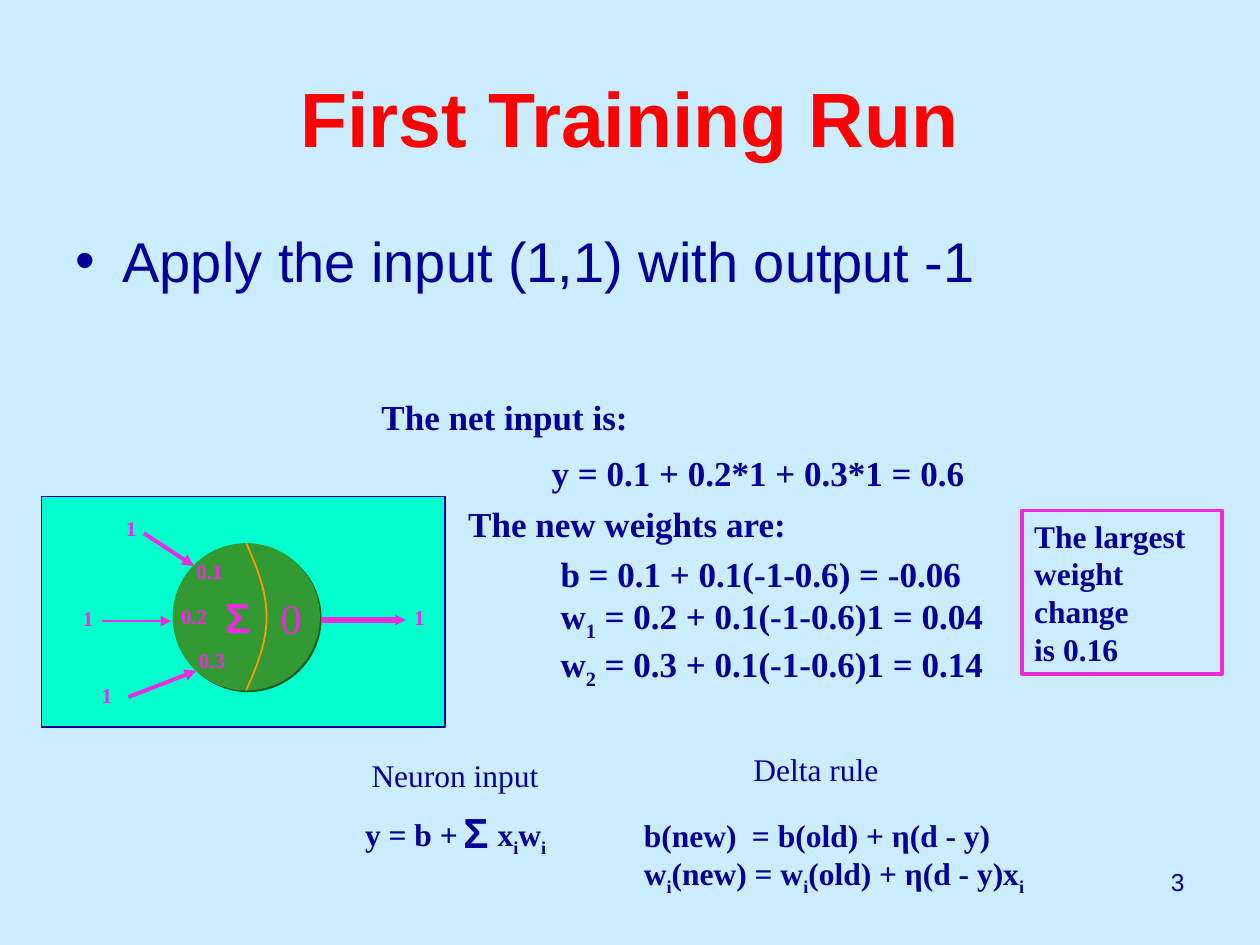
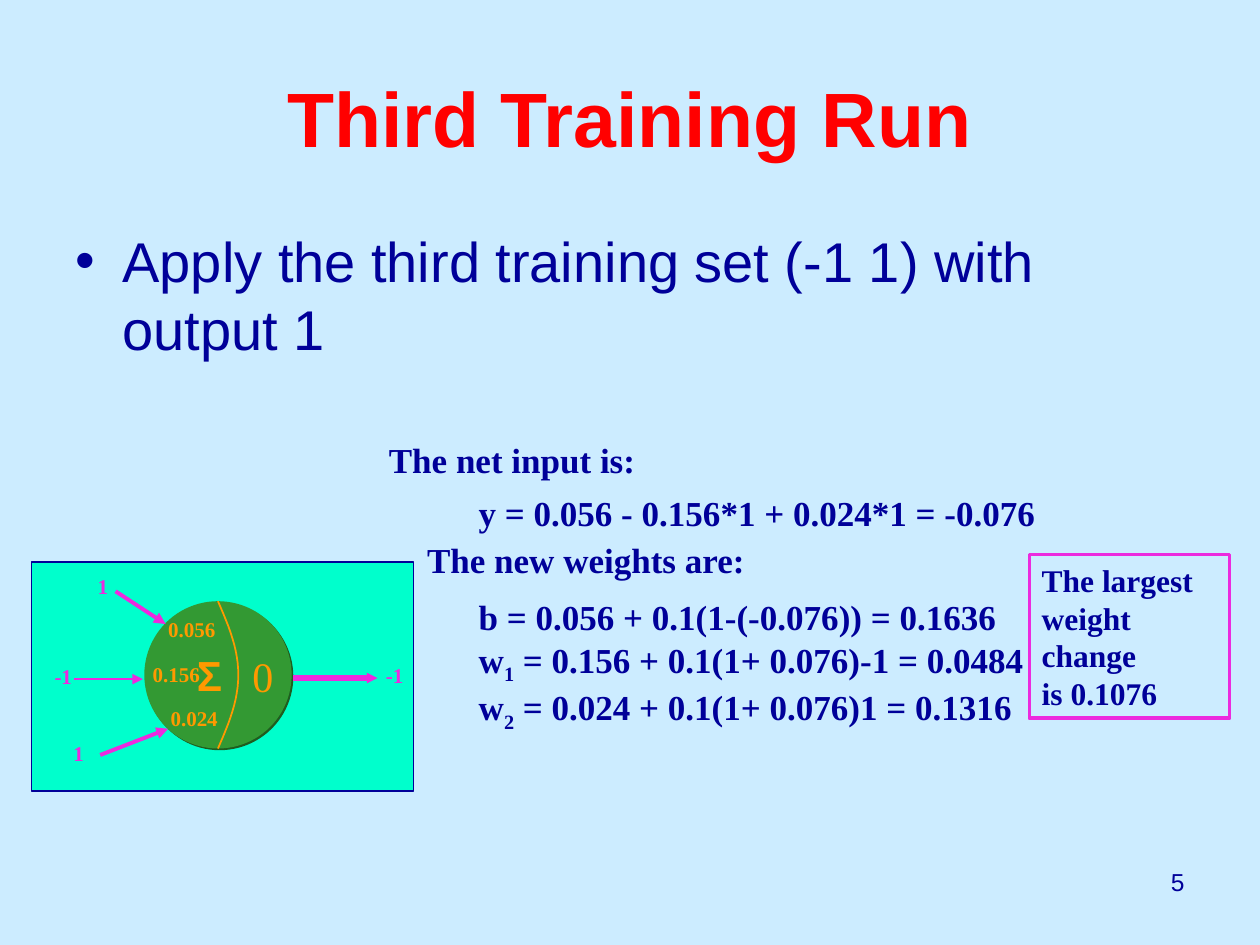
from math import pi, sin

from lxml import etree
from pptx import Presentation
from pptx.dml.color import RGBColor
from pptx.enum.shapes import MSO_CONNECTOR, MSO_SHAPE
from pptx.enum.text import MSO_ANCHOR, PP_ALIGN
from pptx.oxml.ns import qn
from pptx.util import Cm, Pt

RECT, OVAL, STRAIGHT = MSO_SHAPE.RECTANGLE, MSO_SHAPE.OVAL, MSO_CONNECTOR.STRAIGHT
LEFT, CENTER, RIGHT = PP_ALIGN.LEFT, PP_ALIGN.CENTER, PP_ALIGN.RIGHT
TOP, MIDDLE = MSO_ANCHOR.TOP, MSO_ANCHOR.MIDDLE

SKY, NAVY, RED, PINK = "CCECFF", "000099", "FF0000", "EC2ADE"
MINT, GREEN, DARK_GREEN, ORANGE = "00FFCC", "339933", "1F5C1F", "FF9900"
SANS, SERIF = "Arial", "Times New Roman"

SLACK = 0.25
CELL = 2.97
INPUT_SPOTS = [(-1.19, -0.69), (-2.06, 1.14), (-1.68, 2.69)]
WEIGHT_SPOTS = [(0.23, 0.18), (-0.08, 1.09), (0.28, 1.98)]
OUTPUT_SPOT = (4.62, 1.12)
ARROWS = [
    (3, 1.55, 4.7, 1.55, 3, "sm"),
    (-0.58, -0.2, 0.43, 0.46, 2.25, "med"),
    (-0.89, 3.1, 0.48, 2.57, 2.25, "med"),
    (-1.42, 1.57, -0.03, 1.57, 1.5, "med"),
]


def rgb(code):
    return RGBColor.from_string(code)


def add_xml(parent, tag, **attrs):
    return etree.SubElement(parent, qn(tag), attrs)


def write(tf, text, size, color=NAVY, bold=True, font=SERIF, align=LEFT):
    tf.text = text
    for p in tf.paragraphs:
        p.alignment = align
        pieces = p.text.split("_")
        p.text = pieces[0]
        for piece in pieces[1:]:
            p.add_run().text = piece
        for i, r in enumerate(p.runs):
            r.font.size, r.font.bold, r.font.name = Pt(size), bold, font
            r.font.color.rgb = rgb(color)
            if i % 2:
                r._r.get_or_add_rPr().set("baseline", "-25000")


def add_text(shapes, box, text, size, anchor=TOP, **style):
    tf = shapes.add_textbox(*map(Cm, box)).text_frame
    tf.word_wrap = True
    tf.vertical_anchor = anchor
    write(tf, text, size, **style)
    return tf


def add_label(shapes, left, top, width, height, text, size, **style):
    return add_text(shapes, (left, top, width + SLACK, height), text, size, **style)


def set_tab(p, position):
    tabs = add_xml(p._p.get_or_add_pPr(), "a:tabLst")
    add_xml(tabs, "a:tab", pos=str(Cm(position)), algn="l")


def add_box(shapes, kind, box, fill, line=None, width=0.75):
    sp = shapes.add_shape(kind, *map(Cm, box))
    sp.shadow.inherit = False
    sp.fill.solid()
    sp.fill.fore_color.rgb = rgb(fill)
    if line:
        sp.line.color.rgb = rgb(line)
        sp.line.width = Pt(width)
    else:
        sp.line.fill.background()
    return sp


def add_arrow(shapes, x1, y1, x2, y2, width, head):
    line = shapes.add_connector(STRAIGHT, Cm(x1), Cm(y1), Cm(x2), Cm(y2))
    line.line.color.rgb = rgb(PINK)
    line.line.width = Pt(width)
    add_xml(line.line._get_or_add_ln(), "a:tailEnd", type="triangle", w=head, len=head)
    add_xml(line._element.spPr, "a:effectLst")


def add_divider(shapes, x, y):
    steps = 24
    points = [
        (Cm(x + 0.41 * sin(pi * i / steps)), Cm(y + CELL * i / steps))
        for i in range(steps + 1)
    ]
    builder = shapes.build_freeform(*points[0])
    builder.add_line_segments(points[1:], close=False)
    sp = builder.convert_to_shape()
    sp.shadow.inherit = False
    sp.fill.background()
    sp.line.color.rgb = rgb(ORANGE)
    sp.line.width = Pt(1)


def add_cell(shapes, x, y):
    cell = add_box(shapes, OVAL, (x, y, CELL, CELL), GREEN)
    effects = cell._element.spPr.find(qn("a:effectLst"))
    shadow = add_xml(effects, "a:outerShdw", dist=str(Pt(1.4)), dir="2700000",
                     algn="ctr", rotWithShape="0")
    add_xml(shadow, "a:srgbClr", val=DARK_GREEN)


def add_neuron(s, panel, x, y, inputs, weights, output, color):
    shapes = s.shapes.add_group_shape().shapes
    add_box(shapes, RECT, panel, MINT, NAVY)
    add_cell(shapes, x, y)
    add_divider(shapes, x + CELL / 2, y)
    add_label(shapes, x + 1.93, y + 0.86, 0.91, 1.27, "0", 24, color=color, bold=False)
    add_label(shapes, x + 0.81, y + 0.84, 0.99, 1.27, "Σ", 24, color=color, font=SANS)
    for x1, y1, x2, y2, width, head in ARROWS:
        add_arrow(shapes, x + x1, y + y1, x + x2, y + y2, width, head)
    labels = [(spot, text, color) for spot, text in zip(WEIGHT_SPOTS, weights)]
    labels += [(spot, text, PINK) for spot, text in
               zip(INPUT_SPOTS + [OUTPUT_SPOT], inputs + [output])]
    for (dx, dy), text, label_color in labels:
        width = 0.5 + 0.19 * len(text)
        add_label(shapes, x + dx, y + dy, width, 0.76, text, 12, color=label_color)


def set_bullet(p):
    p.space_before = Pt(8)
    pPr = p._p.get_or_add_pPr()
    pPr.set("marL", str(Cm(0.95)))
    pPr.set("indent", str(Cm(-0.95)))
    add_xml(pPr, "a:buFont", typeface=SANS)
    add_xml(pPr, "a:buChar", char="•")


def add_run_slide(prs, title, task, task_height, number):
    s = prs.slides.add_slide(prs.slide_layouts[6])
    s.background.fill.solid()
    s.background.fill.fore_color.rgb = rgb(SKY)
    add_text(s.shapes, (1.27, 0.76, 22.86, 3.18), title, 44,
             anchor=MIDDLE, color=RED, font=SANS, align=CENTER)
    tf = add_text(s.shapes, (1.27, 4.45, 22.86, task_height), task, 32,
                  bold=False, font=SANS)
    set_bullet(tf.paragraphs[0])
    add_text(s.shapes, (18.21, 17.35, 5.92, 1.32), number, 14,
             bold=False, font=SANS, align=RIGHT)
    return s


def add_equations(s, rows):
    for row in rows:
        add_label(s.shapes, *row, 20)


def add_callout(s, left, top, change):
    sp = add_box(s.shapes, RECT, (left, top, 4.04, 3.3), SKY, PINK, 2)
    tf = sp.text_frame
    tf.word_wrap = True
    tf.vertical_anchor = TOP
    write(tf, f"The largest weight change\nis {change}", 18)


def add_rules(s):
    add_label(s.shapes, 7.24, 15.11, 3.86, 1.02, "Neuron input", 18, bold=False)
    tf = add_label(s.shapes, 7.11, 16.31, 4.14, 1.12, "y = b +\tx_i_w_i", 18)
    set_tab(tf.paragraphs[0], 2.67)
    add_label(s.shapes, 9.09, 16.13, 0.99, 1.27, "Σ", 24, font=SANS)
    shapes = s.shapes.add_group_shape().shapes
    add_label(shapes, 14.94, 14.99, 3.02, 1.02, "Delta rule", 18, bold=False)
    tf = add_label(shapes, 12.73, 16.33, 8.97, 1.88,
                   "b(new)\t= b(old) + η(d - y)\nw_i_(new) = w_i_(old) + η(d - y)x_i",
                   18)
    set_tab(tf.paragraphs[0], 2.18)


def main():
    prs = Presentation()
    prs.slide_width, prs.slide_height = Cm(25.4), Cm(19.05)

    s = add_run_slide(prs, "First Training Run",
                      "Apply the input (1,1) with output -1", 1.78, "3")
    add_neuron(s, (0.84, 10.01, 8.13, 4.65), 3.48, 10.95,
               ["1", "1", "1"], ["0.1", "0.2", "0.3"], "1", PINK)
    add_equations(s, [
        (7.44, 7.85, 5.46, 1.12, "The net input is:"),
        (10.87, 8.97, 8.84, 1.12, "y = 0.1 + 0.2*1 + 0.3*1 = 0.6"),
        (9.19, 10.01, 6.93, 1.12, "The new weights are:"),
        (11.05, 11.02, 9.02, 3.02,
         "b = 0.1 + 0.1(-1-0.6) = -0.06\n"
         "w_1_ = 0.2 + 0.1(-1-0.6)1 = 0.04\n"
         "w_2_ = 0.3 + 0.1(-1-0.6)1 = 0.14"),
    ])
    add_callout(s, 20.6, 10.29, "0.16")
    add_rules(s)

    s = add_run_slide(prs, "Third Training Run",
                      "Apply the third training set (-1 1) with output 1", 3.73, "5")
    add_neuron(s, (0.64, 11.33, 7.7, 4.62), 2.91, 12.12,
               ["1", "-1", "1"], ["0.056", "0.156", "0.024"], "-1", ORANGE)
    add_equations(s, [
        (7.59, 8.71, 5.46, 1.12, "The net input is:"),
        (9.4, 9.78, 11.73, 1.12, "y = 0.056 - 0.156*1 + 0.024*1 = -0.076"),
        (8.36, 10.74, 6.93, 1.12, "The new weights are:"),
        (9.4, 11.89, 11.48, 3.02,
         "b = 0.056 + 0.1(1-(-0.076)) = 0.1636\n"
         "w_1_ = 0.156 + 0.1(1+ 0.076)-1 = 0.0484\n"
         "w_2_ = 0.024 + 0.1(1+ 0.076)1 = 0.1316"),
    ])
    add_callout(s, 20.75, 11.18, "0.1076")

    prs.save("out.pptx")


if __name__ == "__main__":
    main()
